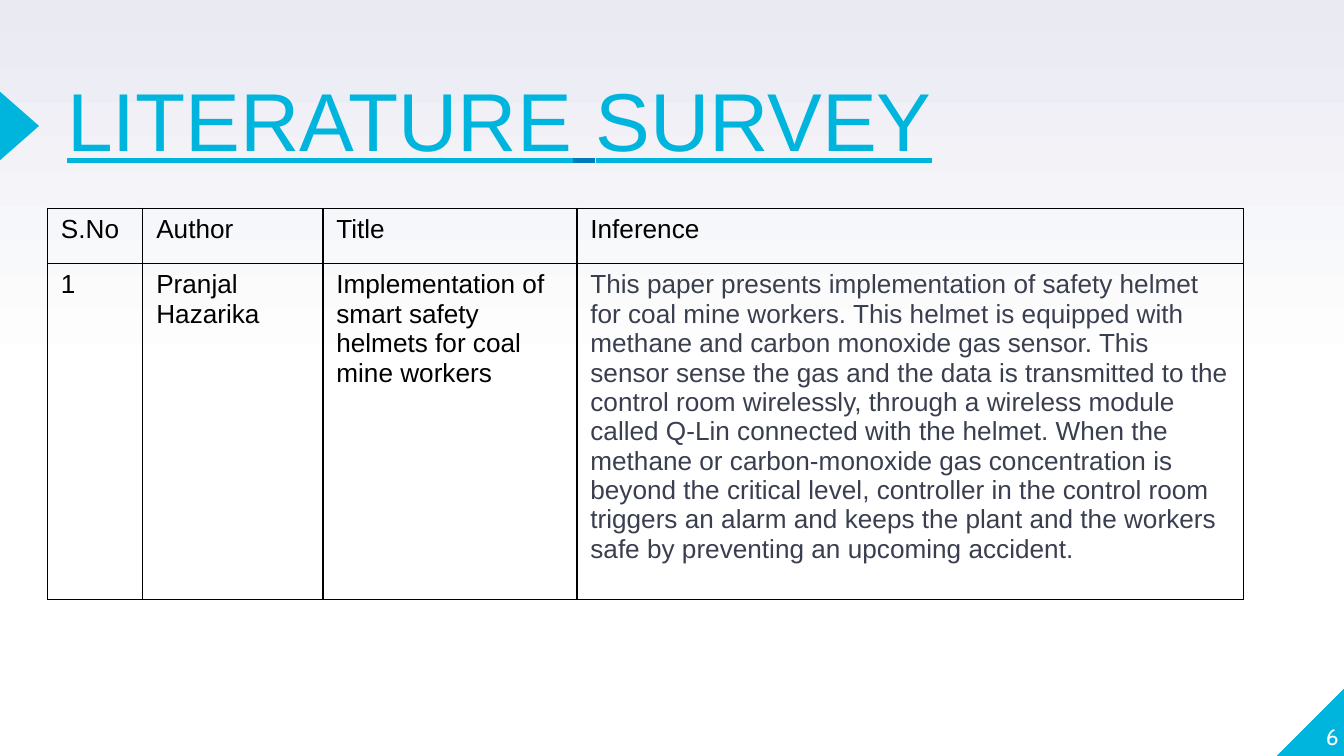
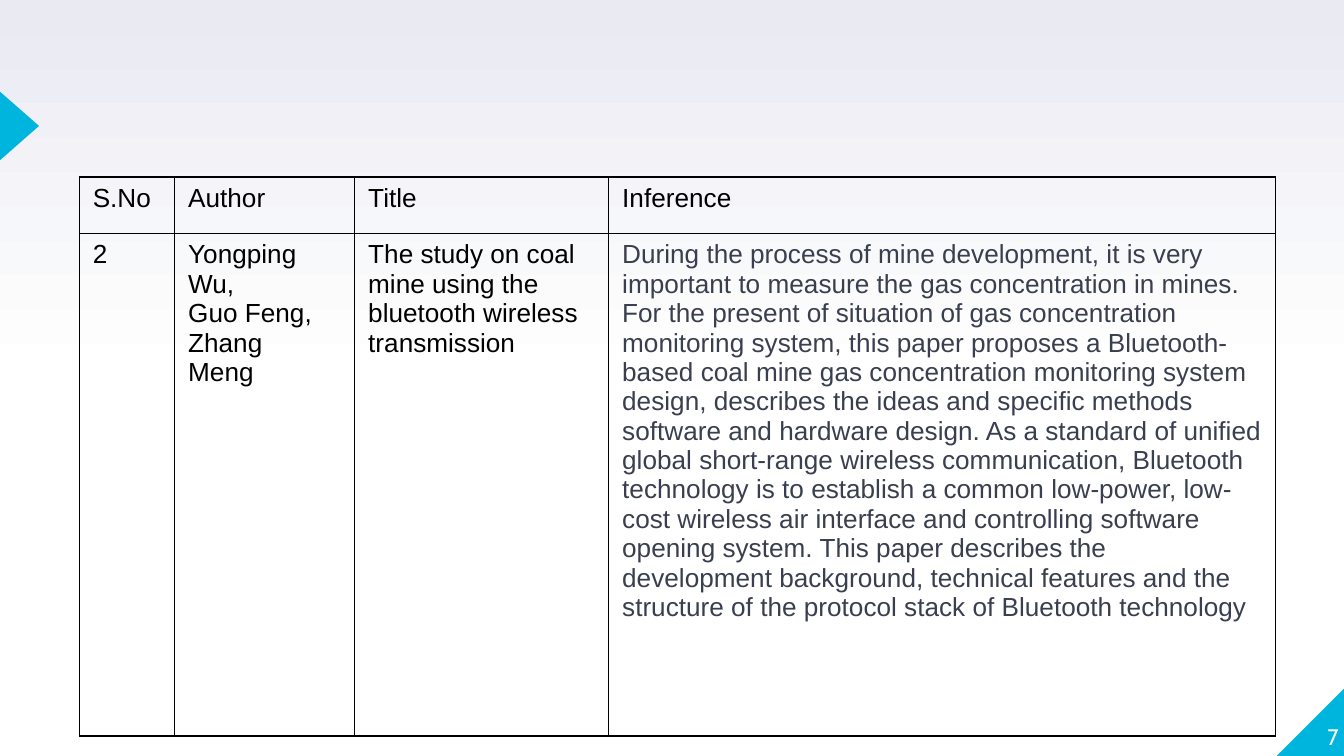
import dataclasses
import typing

import lxml.etree
import pptx
import pptx.dml.color
import pptx.enum.shapes
import pptx.enum.text
import pptx.oxml.ns
import pptx.presentation
import pptx.slide
import pptx.util

CYAN = pptx.dml.color.RGBColor(0x00, 0xB5, 0xDD)
BLUE = pptx.dml.color.RGBColor(0x00, 0x7B, 0xB9)
SLATE = pptx.dml.color.RGBColor(0x3A, 0x3F, 0x50)
LAVENDER = pptx.dml.color.RGBColor(0xE9, 0xEA, 0xF2)
WHITE = pptx.dml.color.RGBColor(0xFF, 0xFF, 0xFF)
BLACK = pptx.dml.color.RGBColor(0x00, 0x00, 0x00)

PAGE_WIDTH = pptx.util.Inches(10)
PAGE_HEIGHT = PAGE_WIDTH * 9 // 16
GRID = 100
TITLE_ONLY, BLANK = 5, 6

TITLE_FORMAT = {"name": "Arial", "size": pptx.util.Pt(44), "underline": True, "bold": False}
NUMBER_FORMAT = {"name": "Cabin", "size": pptx.util.Pt(12)}
CELL_FORMAT = {"name": "Arial", "size": pptx.util.Pt(14), "bold": False}
NO_MARGINS = {
    "margin_left": 0,
    "margin_top": 0,
    "margin_right": 0,
    "margin_bottom": 0,
    "word_wrap": True,
    "auto_size": pptx.enum.text.MSO_AUTO_SIZE.NONE,
}
PLAIN_TABLE = {"first_row": False, "horz_banding": False}
HEADINGS = ("S.No", "Author", "Title", "Inference")
COLUMN_SHARES = (7.1, 13.4, 18.9, 49.6)


def across(columns: float) -> int:
    return round(PAGE_WIDTH * columns / GRID)


def down(rows: float) -> int:
    return round(PAGE_HEIGHT * rows / GRID)


@dataclasses.dataclass(frozen=True)
class Frame:
    left: float
    top: float
    width: float
    height: float

    def lengths(self) -> tuple[int, int, int, int]:
        return across(self.left), down(self.top), across(self.width), down(self.height)


@dataclasses.dataclass(frozen=True)
class Mark:
    preset: pptx.enum.shapes.MSO_SHAPE
    frame: Frame
    rotation: float = 0
    flipped: bool = False


@dataclasses.dataclass(frozen=True)
class Survey:
    number: str
    left: float
    top: float
    row_shares: tuple[float, float]
    entry: tuple[str, str, str, str]
    title: tuple[tuple[str, pptx.dml.color.RGBColor], ...] = ()


TITLE_FRAME = Frame(5, 11.73, 72.6, 11.56)
NUMBER_FRAME = Frame(94.6, 90.13, 5, 9.07)
MARKS = (
    Mark(pptx.enum.shapes.MSO_SHAPE.RIGHT_TRIANGLE, Frame(95, 90.93, 5.1, 9.07), flipped=True),
    Mark(pptx.enum.shapes.MSO_SHAPE.ISOSCELES_TRIANGLE, Frame(-1.1, 14.08, 5.1, 5.16), rotation=90),
)

SURVEYS = (
    Survey(
        number="6",
        left=3.53,
        top=27.56,
        row_shares=(7.29, 44.5),
        entry=(
            "1",
            "Pranjal Hazarika",
            "Implementation of smart safety helmets for coal mine workers",
            "This paper presents implementation of safety helmet for coal mine workers. "
            "This helmet is equipped with methane and carbon monoxide gas sensor. "
            "This sensor sense the gas and the data is transmitted to the control room "
            "wirelessly, through a wireless module called Q-Lin connected with the helmet. "
            "When the methane or carbon-monoxide gas concentration is beyond the critical "
            "level, controller in the control room triggers an alarm and keeps the plant "
            "and the workers safe by preventing an upcoming accident.",
        ),
        title=(("LITERATURE", CYAN), (" ", BLUE), ("SURVEY", CYAN)),
    ),
    Survey(
        number="7",
        left=5.9,
        top=23.42,
        row_shares=(7.47, 66.49),
        entry=(
            "2",
            "Yongping\nWu,\nGuo Feng,\nZhang\nMeng",
            "The study on coal mine using the bluetooth wireless transmission",
            "During the process of mine development, it is very important to measure the "
            "gas concentration in mines. For the present of situation of gas concentration "
            "monitoring system, this paper proposes a Bluetooth-based coal mine gas "
            "concentration monitoring system design, describes the ideas and specific "
            "methods software and hardware design. As a standard of unified global "
            "short-range wireless communication, Bluetooth technology is to establish a "
            "common low-power, low-cost wireless air interface and controlling software "
            "opening system. This paper describes the development background, technical "
            "features and the structure of the protocol stack of Bluetooth technology",
        ),
    ),
)


def set_values(target: typing.Any, values: dict[str, typing.Any]) -> None:
    for name, value in values.items():
        setattr(target, name, value)


def add_span(
    para: typing.Any,
    text: str,
    values: dict[str, typing.Any],
    color: pptx.dml.color.RGBColor,
) -> None:
    span = para.add_run()
    span.text = text
    set_values(span.font, values)
    span.font.color.rgb = color


def paint_background(master: pptx.slide.SlideMaster) -> None:
    fill = master.background.fill
    fill.gradient()
    fill.gradient_angle = 90
    stops = master.element.find(".//" + pptx.oxml.ns.qn("a:gsLst"))
    for stop in list(stops):
        stops.remove(stop)
    for position, color in ((0, WHITE), (50, WHITE), (100, LAVENDER)):
        stop = lxml.etree.SubElement(stops, pptx.oxml.ns.qn("a:gs"), pos=str(position * 1000))
        lxml.etree.SubElement(stop, pptx.oxml.ns.qn("a:srgbClr"), val=str(color))


def add_master_marks(master: pptx.slide.SlideMaster, page: pptx.slide.Slide) -> None:
    for identifier, mark in enumerate(MARKS, start=101):
        shape = page.shapes.add_shape(mark.preset, *mark.frame.lengths())
        shape.shadow.inherit = False
        shape.fill.solid()
        shape.fill.fore_color.rgb = CYAN
        shape.line.fill.background()
        shape.rotation = mark.rotation
        if mark.flipped:
            shape.element.spPr.xfrm.set("flipH", "1")
        shape.element.nvSpPr.cNvPr.set("id", str(identifier))
        master.shapes.element.append(shape.element)


def write_title(page: pptx.slide.Slide, survey: Survey) -> None:
    box = page.shapes.title
    box.left, box.top, box.width, box.height = TITLE_FRAME.lengths()
    set_values(box.text_frame, NO_MARGINS)
    box.text_frame.vertical_anchor = pptx.enum.text.MSO_ANCHOR.TOP
    para = box.text_frame.paragraphs[0]
    para.alignment = pptx.enum.text.PP_ALIGN.LEFT
    para.line_spacing = 0.8
    for text, color in survey.title:
        add_span(para, text, TITLE_FORMAT, color)


def add_number(page: pptx.slide.Slide, number: str) -> None:
    box = page.shapes.add_textbox(*NUMBER_FRAME.lengths())
    set_values(box.text_frame, NO_MARGINS)
    box.text_frame.vertical_anchor = pptx.enum.text.MSO_ANCHOR.BOTTOM
    para = box.text_frame.paragraphs[0]
    para.alignment = pptx.enum.text.PP_ALIGN.RIGHT
    add_span(para, number, NUMBER_FORMAT, WHITE)


def add_borders(cell: typing.Any) -> None:
    properties = cell._tc.get_or_add_tcPr()
    for side in ("a:lnL", "a:lnR", "a:lnT", "a:lnB"):
        line = lxml.etree.SubElement(
            properties, pptx.oxml.ns.qn(side), w=str(pptx.util.Pt(0.75))
        )
        fill = lxml.etree.SubElement(line, pptx.oxml.ns.qn("a:solidFill"))
        lxml.etree.SubElement(fill, pptx.oxml.ns.qn("a:srgbClr"), val=str(BLACK))


def fill_cell(cell: typing.Any, text: str, color: pptx.dml.color.RGBColor) -> None:
    add_borders(cell)
    cell.fill.background()
    frame = cell.text_frame
    for index, line in enumerate(text.split("\n")):
        para = frame.add_paragraph() if index else frame.paragraphs[0]
        add_span(para, line, CELL_FORMAT, color)


def add_survey_table(page: pptx.slide.Slide, survey: Survey) -> None:
    frame = Frame(survey.left, survey.top, sum(COLUMN_SHARES), sum(survey.row_shares))
    table = page.shapes.add_table(2, len(HEADINGS), *frame.lengths()).table
    set_values(table, PLAIN_TABLE)
    for column, share in zip(table.columns, COLUMN_SHARES):
        column.width = across(share)
    for row, share, texts in zip(table.rows, survey.row_shares, (HEADINGS, survey.entry)):
        row.height = down(share)
        for cell, text in zip(row.cells, texts):
            is_inference = text == survey.entry[-1]
            fill_cell(cell, text, SLATE if is_inference else BLACK)


def add_survey_page(deck: pptx.presentation.Presentation, survey: Survey) -> pptx.slide.Slide:
    layout = deck.slide_layouts[TITLE_ONLY if survey.title else BLANK]
    page = deck.slides.add_slide(layout)
    if survey.title:
        write_title(page, survey)
    add_number(page, survey.number)
    add_survey_table(page, survey)
    return page


def main() -> None:
    deck = pptx.Presentation()
    deck.slide_width, deck.slide_height = PAGE_WIDTH, PAGE_HEIGHT
    paint_background(deck.slide_master)
    pages = [add_survey_page(deck, survey) for survey in SURVEYS]
    add_master_marks(deck.slide_master, pages[0])
    deck.save("out.pptx")


if __name__ == "__main__":
    main()
